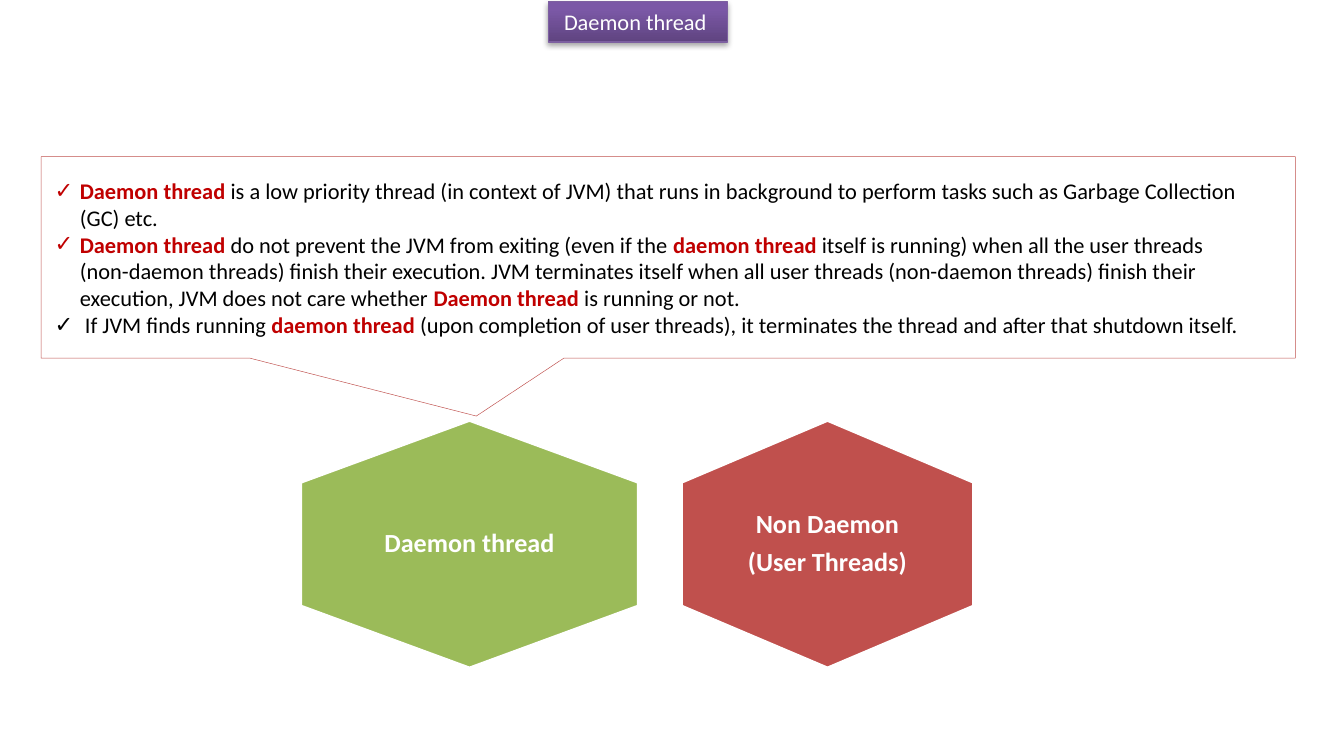
import pptx
import pptx.util
import pptx.dml.color
import pptx.enum.shapes
import pptx.enum.text
import pptx.oxml
import pptx.oxml.ns
from lxml import etree

Pt = pptx.util.Pt
SHAPES = pptx.enum.shapes.MSO_SHAPE
ALIGN = pptx.enum.text.PP_ALIGN
ANCHOR = pptx.enum.text.MSO_ANCHOR

FONT = "Calibri"
COLORS = {
    "white": "FFFFFF",
    "black": "000000",
    "term": "C00000",
    "daemon": "9BBB59",
    "user": "C0504D",
    "title_dark": "5F4480",
    "title_light": "7B58A6",
    "title_edge": "7D60A0",
}
HEXAGON_CENTER_Y = 291.6
HEXAGON_HEIGHT = 133.2
INDENT = 13.5

FACTS = [
    (True, [("Daemon thread", True),
            (" is a low priority thread (in context of JVM) that runs in background "
             "to perform tasks such as Garbage Collection (GC) etc.", False)]),
    (True, [("Daemon thread ", True),
            ("do not prevent the JVM from exiting (even if the ", False),
            ("daemon thread", True),
            (" itself is running) when all the user threads", False)]),
    (False, [("(non-daemon threads) finish their execution. JVM terminates itself when "
              "all user threads (non-daemon threads) finish their", False)]),
    (False, [("execution, JVM does not care whether ", False),
             ("Daemon thread ", True),
             ("is running or not.", False)]),
    (True, [(" If JVM finds running ", False),
            ("daemon thread", True),
            (" (upon completion of user threads), it terminates the thread and after "
             "that shutdown itself.", False)]),
]


def rgb(name):
    return pptx.dml.color.RGBColor.from_string(COLORS[name])


def place(part, left, top, width, height):
    part.left, part.top, part.width, part.height = map(Pt, (left, top, width, height))


def set_frame(frame, side, vertical):
    frame.word_wrap = True
    frame.auto_size = pptx.enum.text.MSO_AUTO_SIZE.NONE
    frame.vertical_anchor = ANCHOR.MIDDLE
    frame.margin_left = frame.margin_right = Pt(side)
    frame.margin_top = frame.margin_bottom = Pt(vertical)


def add_run(paragraph, text, size, color, bold=False):
    run = paragraph.add_run()
    run.text = text
    run.font.name = FONT
    run.font.size = Pt(size)
    run.font.bold = bold
    run.font.color.rgb = rgb(color)


def outline(part, color, width):
    part.line.color.rgb = rgb(color)
    part.line.width = Pt(width)


def add_soft_shadow(part):
    effects = pptx.oxml.parse_xml(
        f'<a:effectLst {pptx.oxml.ns.nsdecls("a")}>'
        '<a:outerShdw blurRad="40000" dist="23000" dir="5400000" rotWithShape="0">'
        f'<a:srgbClr val="{COLORS["black"]}"><a:alpha val="35000"/></a:srgbClr>'
        '</a:outerShdw></a:effectLst>')
    part._element.spPr.append(effects)


def fill_title(title):
    place(title, 293.8, 0.7, 95.8, 21.8)
    title.fill.gradient()
    title.fill.gradient_angle = 90
    stops = zip(title.fill.gradient_stops, (0, 0.8), ("title_dark", "title_light"))
    for stop, position, color in stops:
        stop.position = position
        stop.color.rgb = rgb(color)
    outline(title, "title_edge", 0.75)
    add_soft_shadow(title)
    set_frame(title.text_frame, 7.2, 3.6)
    paragraph = title.text_frame.paragraphs[0]
    paragraph.alignment = ALIGN.CENTER
    add_run(paragraph, "Daemon thread ", 12, "white")


def add_hexagon(slide, center_x, width, label_width, color, label_lines):
    hexagon = slide.shapes.add_shape(SHAPES.HEXAGON, 0, 0, 0, 0)
    place(hexagon, center_x - HEXAGON_HEIGHT / 2, HEXAGON_CENTER_Y - width / 2,
          HEXAGON_HEIGHT, width)
    hexagon.rotation = 90
    hexagon.adjustments[0] = 0.25
    hexagon.shadow.inherit = False
    hexagon.fill.solid()
    hexagon.fill.fore_color.rgb = rgb(color)
    outline(hexagon, "white", 2)

    label = slide.shapes.add_textbox(0, 0, 0, 0)
    place(label, center_x - label_width / 2, HEXAGON_CENTER_Y - 44.3, label_width, 88.6)
    frame = label.text_frame
    set_frame(frame, 4, 4)
    for index, line in enumerate(label_lines):
        paragraph = frame.add_paragraph() if index else frame.paragraphs[0]
        paragraph.alignment = ALIGN.CENTER
        paragraph.line_spacing = 0.9
        paragraph.space_after = Pt(4.9)
        add_run(paragraph, line, 14, "white", True)


def add_callout(slide, bounds):
    callout = slide.shapes.add_shape(SHAPES.RECTANGULAR_CALLOUT, 0, 0, 0, 0)
    place(callout, *bounds)
    callout.adjustments[0] = -0.153
    callout.adjustments[1] = 0.787
    callout.shadow.inherit = False
    callout.fill.solid()
    callout.fill.fore_color.rgb = rgb("white")
    outline(callout, "user", 0.25)
    return callout


def set_bullet(paragraph, bulleted):
    properties = paragraph._p.get_or_add_pPr()
    properties.set("marL", str(Pt(INDENT)))
    properties.set("indent", str(-Pt(INDENT) if bulleted else 0))
    tag = "a:buChar" if bulleted else "a:buNone"
    bullet = etree.SubElement(properties, pptx.oxml.ns.qn(tag))
    if bulleted:
        bullet.set("char", "✓")


def fill_facts(body, bounds):
    place(body, *bounds)
    frame = body.text_frame
    set_frame(frame, 7.2, 3.6)
    for index, (bulleted, pieces) in enumerate(FACTS):
        paragraph = frame.add_paragraph() if index else frame.paragraphs[0]
        set_bullet(paragraph, bulleted)
        paragraph.alignment = ALIGN.LEFT
        paragraph.space_before = Pt(0)
        for text, is_term in pieces:
            add_run(paragraph, text, 12, "term" if is_term else "black", is_term)


def main():
    deck = pptx.Presentation()
    deck.slide_width, deck.slide_height = Pt(720), Pt(396)
    slide = deck.slides.add_slide(deck.slide_layouts[1])
    facts = slide.placeholders[1]
    facts_bounds = (22.1, 84, 671.8, 108)

    fill_title(slide.shapes.title)
    add_hexagon(slide, 443.3, 157, 104.4, "user", ["Non Daemon", "(User Threads)"])
    add_hexagon(slide, 251.5, 181.4, 121, "daemon", ["Daemon thread"])
    callout = add_callout(slide, facts_bounds)
    fill_facts(facts, facts_bounds)
    callout._element.addnext(facts._element)
    deck.save("out.pptx")


if __name__ == "__main__":
    main()
